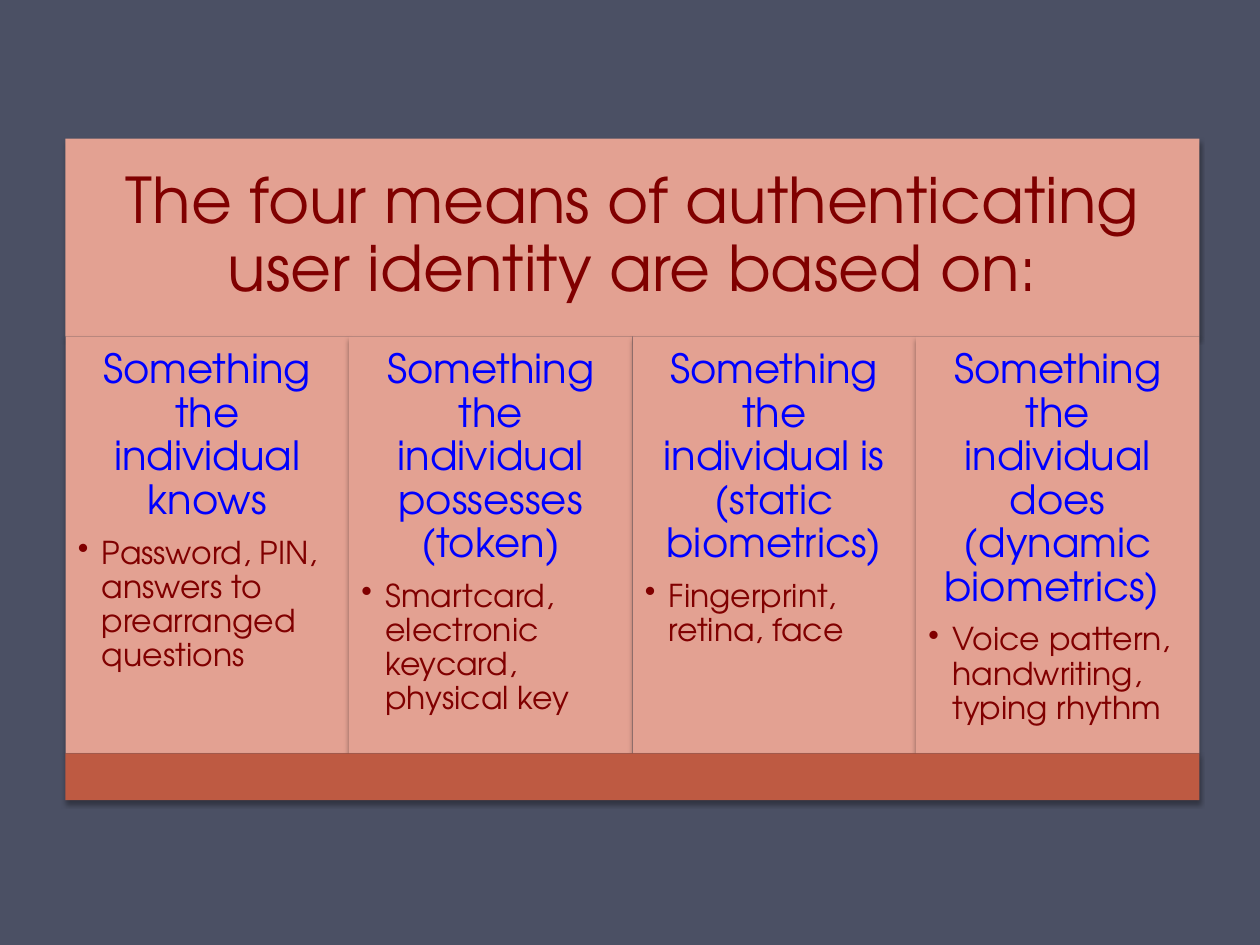
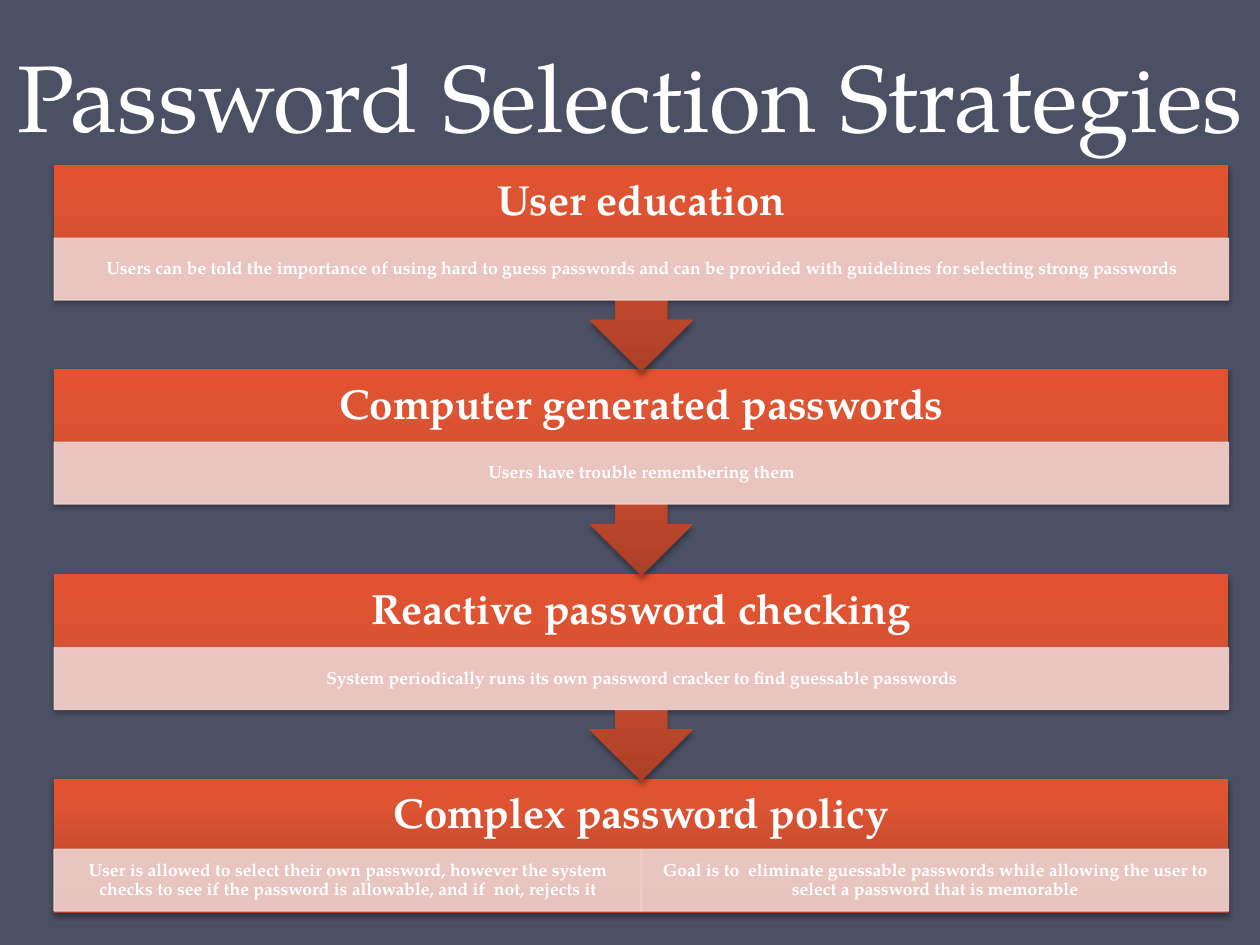
"""Build two slides on user authentication and password selection."""
from pptx import Presentation
from pptx.dml.color import RGBColor
from pptx.enum.shapes import MSO_SHAPE
from pptx.enum.text import MSO_ANCHOR, PP_ALIGN
from pptx.oxml import parse_xml
from pptx.oxml.ns import nsdecls, qn
from pptx.util import Inches, Pt

RECTANGLE = MSO_SHAPE.RECTANGLE
ARROW_CALLOUT = MSO_SHAPE.DOWN_ARROW_CALLOUT
TOP, MIDDLE, BOTTOM = MSO_ANCHOR.TOP, MSO_ANCHOR.MIDDLE, MSO_ANCHOR.BOTTOM
CENTER, LEFT = PP_ALIGN.CENTER, PP_ALIGN.LEFT

SLATE = RGBColor(0x4B, 0x50, 0x64)
SALMON = RGBColor(0xE3, 0xA1, 0x92)
RUST = RGBColor(0xBE, 0x5A, 0x42)
MAROON = RGBColor(0x80, 0x00, 0x00)
BLUE = RGBColor(0x00, 0x00, 0xFF)
WHITE = RGBColor(0xFF, 0xFF, 0xFF)
BLUSH = RGBColor(0xEE, 0xD3, 0xD0)
ORANGE_STOPS = [
    (0, RGBColor(0xAB, 0x40, 0x27)),
    (80, RGBColor(0xDE, 0x54, 0x33)),
    (100, RGBColor(0xE3, 0x52, 0x30)),
]
SANS, SERIF = "TeX Gyre Adventor", "TeX Gyre Pagella"

MEANS_TITLE = "The four means of authenticating user identity are based on:"
MEANS = [
    ("Something the individual knows",
     "Password, PIN, answers to prearranged questions"),
    ("Something the individual possesses (token)",
     "Smartcard, electronic keycard, physical key"),
    ("Something the individual is (static biometrics)",
     "Fingerprint, retina, face"),
    ("Something the individual does (dynamic biometrics) ",
     "Voice pattern, handwriting, typing rhythm "),
]
STRATEGIES_TITLE = "Password Selection Strategies"
STRATEGIES = [
    ("User education",
     ["Users can be told the importance of using hard to guess passwords and "
      "can be provided with guidelines for selecting strong passwords"]),
    ("Computer generated passwords",
     ["Users have trouble remembering them"]),
    ("Reactive password checking",
     ["System periodically runs its own password cracker to find guessable passwords"]),
    ("Complex password policy",
     ["User is allowed to select their own password, however the system checks "
      "to see if the password is allowable, and if  not, rejects it",
      "Goal is to  eliminate guessable passwords while allowing the user to "
      "select a password that is memorable"]),
]


def add_slide(presentation):
    slide = presentation.slides.add_slide(presentation.slide_layouts[6])
    slide.background.fill.solid()
    slide.background.fill.fore_color.rgb = SLATE
    return slide


def add_panel(slide, kind, box, color=None):
    shape = slide.shapes.add_shape(kind, *(Inches(value) for value in box))
    shape.shadow.inherit = False
    shape.line.fill.background()
    if color is not None:
        shape.fill.solid()
        shape.fill.fore_color.rgb = color
    return shape


def add_text_box(slide, box):
    return slide.shapes.add_textbox(*(Inches(value) for value in box))


def add_shadow(shape):
    effects = shape._element.spPr.find(qn("a:effectLst"))
    effects.append(parse_xml(
        f'<a:outerShdw {nsdecls("a")} blurRad="{Pt(3.1)}" dist="{Pt(1.8)}" '
        'dir="5400000" rotWithShape="0"><a:srgbClr val="000000">'
        '<a:alpha val="35000"/></a:srgbClr></a:outerShdw>'))


def set_orange_gradient(shape):
    shape.fill.gradient()
    shape.fill.gradient_angle = 90
    stops = shape._element.spPr.find(qn("a:gradFill")).find(qn("a:gsLst"))
    for stop in list(stops):
        stops.remove(stop)
    for position, color in ORANGE_STOPS:
        stops.append(parse_xml(
            f'<a:gs {nsdecls("a")} pos="{position * 1000}">'
            f'<a:srgbClr val="{color}"/></a:gs>'))


def set_frame(shape, anchor, horizontal, vertical):
    frame = shape.text_frame
    frame.word_wrap = True
    frame.vertical_anchor = anchor
    frame.margin_left = frame.margin_right = Inches(horizontal)
    frame.margin_top = frame.margin_bottom = Inches(vertical)
    return frame


def write(paragraph, text, font, size, color, bold=False, align=CENTER,
          line_spacing=0.9, after=0.35):
    paragraph.alignment = align
    paragraph.line_spacing = line_spacing
    paragraph.space_after = Pt(round(size * after, 1))
    run = paragraph.add_run()
    run.text = text
    run.font.name = font
    run.font.size = Pt(size)
    run.font.bold = bold
    run.font.color.rgb = color


def add_bullet(paragraph):
    paragraph.level = 1
    properties = paragraph._p.get_or_add_pPr()
    properties.set("marL", str(Inches(0.19)))
    properties.set("indent", str(-Inches(0.19)))
    properties.append(parse_xml(f'<a:buChar {nsdecls("a")} char="•"/>'))


def build_means(slide):
    left, top, width = 0.52, 1.1, 9
    header_height, column_height, base_height = 1.57, 3.31, 0.37
    header = add_panel(slide, RECTANGLE, (left, top, width, header_height), SALMON)
    add_shadow(header)
    frame = set_frame(header, MIDDLE, 0.15, 0.15)
    write(frame.paragraphs[0], MEANS_TITLE, SANS, 36, MAROON)

    column_top = top + header_height
    column_width = width / len(MEANS)
    for index, (heading, examples) in enumerate(MEANS):
        column = add_panel(
            slide, RECTANGLE,
            (left + index * column_width, column_top, column_width, column_height),
            SALMON)
        add_shadow(column)
        frame = set_frame(column, TOP, 0.1, 0.1)
        write(frame.paragraphs[0], heading, SANS, 23, BLUE)
        paragraph = frame.add_paragraph()
        write(paragraph, examples, SANS, 18, MAROON, align=LEFT, after=0.15)
        add_bullet(paragraph)

    base = add_panel(
        slide, RECTANGLE, (left, column_top + column_height, width, base_height), RUST)
    add_shadow(base)


def add_detail(slide, box, text):
    detail = add_panel(slide, RECTANGLE, box, BLUSH)
    detail.line.color.rgb = BLUSH
    detail.line.width = Pt(0.75)
    for color in detail._element.spPr.iter(qn("a:srgbClr")):
        color.append(parse_xml(f'<a:alpha {nsdecls("a")} val="90000"/>'))
    frame = set_frame(detail, MIDDLE, 0.08, 0.01)
    write(frame.paragraphs[0], text, SERIF, 10, WHITE, bold=True)


def build_strategies(slide):
    title = add_text_box(slide, (0, 0, 10, 1.25))
    frame = set_frame(title, BOTTOM, 0.1, 0.05)
    write(frame.paragraphs[0], STRATEGIES_TITLE, SERIF, 54, WHITE,
          line_spacing=Pt(58), after=0)

    left, first_top, width, pitch = 0.43, 1.31, 9.32, 1.62
    last = len(STRATEGIES) - 1
    for index, (heading, details) in reversed(list(enumerate(STRATEGIES))):
        top = first_top + index * pitch + index // 2 * 0.01
        if index == last:
            kind, height, offset = RECTANGLE, 1.07, 0.56
        else:
            kind, height, offset = ARROW_CALLOUT, 1.64, 0.58
        step = add_panel(slide, kind, (left, top, width, height))
        set_orange_gradient(step)
        add_shadow(step)
        label = add_text_box(slide, (left, top, width, 0.58))
        frame = set_frame(label, MIDDLE, 0.19, 0.19)
        write(frame.paragraphs[0], heading, SERIF, 24, WHITE, bold=True)
        detail_width = width / len(details)
        for position, text in enumerate(details):
            add_detail(
                slide,
                (left + position * detail_width, top + offset, detail_width, 0.49),
                text)


presentation = Presentation()
presentation.slide_width = Inches(10)
presentation.slide_height = Inches(7.5)
for build in (build_means, build_strategies):
    build(add_slide(presentation))
presentation.save("out.pptx")
